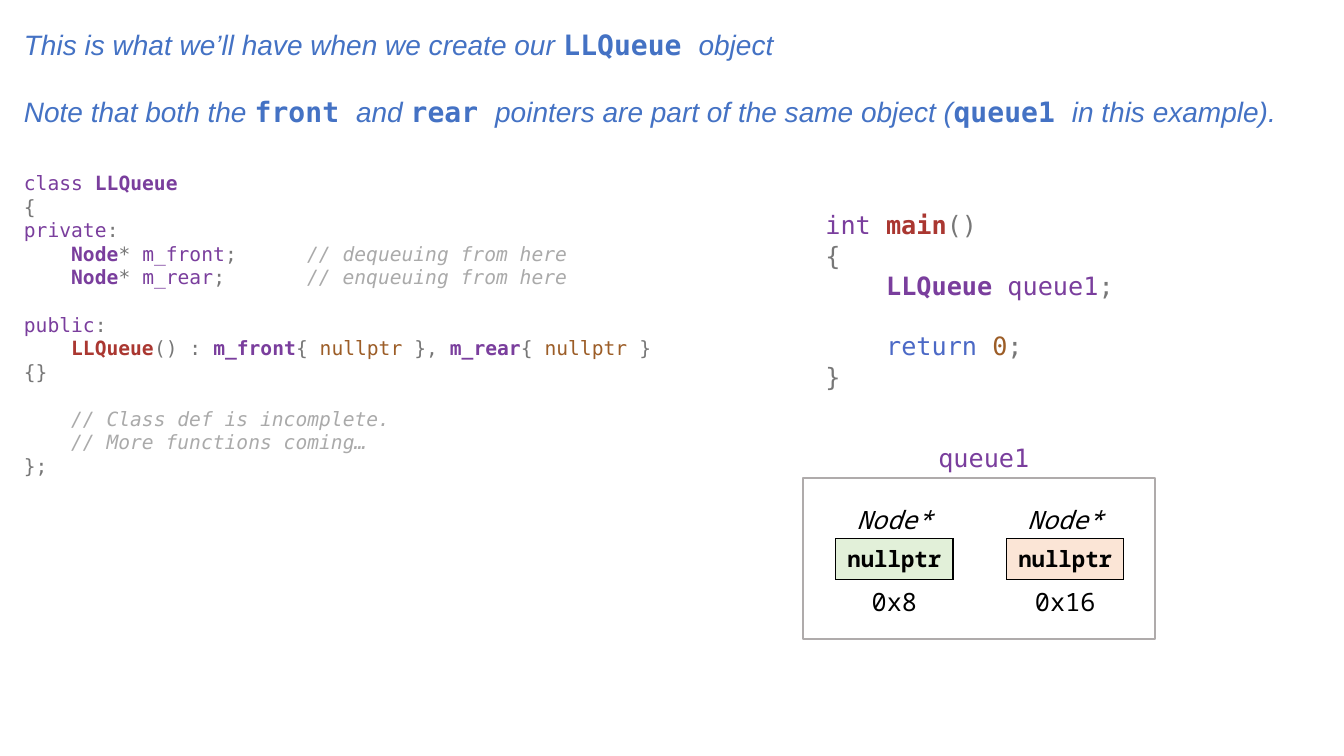
from dataclasses import dataclass
from typing import NamedTuple

from lxml.etree import SubElement
from pptx import Presentation
from pptx.dml.color import RGBColor
from pptx.enum.shapes import MSO_SHAPE as Shape
from pptx.enum.text import MSO_AUTO_SIZE as Fit, PP_ALIGN as Align
from pptx.oxml.ns import qn
from pptx.util import Pt

BLUE = RGBColor(0x44, 0x72, 0xC4)
PURPLE = RGBColor(0x7A, 0x3E, 0x9D)
RED = RGBColor(0xAA, 0x37, 0x31)
BROWN = RGBColor(0x9C, 0x5D, 0x27)
INDIGO = RGBColor(0x4B, 0x69, 0xC6)
GREY = RGBColor(0x77, 0x77, 0x77)
PALE = RGBColor(0xAA, 0xAA, 0xAA)
FRAME = RGBColor(0xAF, 0xAB, 0xAB)
BLACK = RGBColor(0, 0, 0)
GREEN = RGBColor(0xE2, 0xF0, 0xD9)
PEACH = RGBColor(0xFB, 0xE5, 0xD6)

SANS = "Arial"
MONO = "DejaVu Sans Mono"
NOTO = "Noto Sans Mono"
PITCH = 1.2
TAB = 202.3


class Run(NamedTuple):
    text: str
    color: RGBColor = GREY
    bold: bool = False
    italic: bool = False
    font: str = MONO


@dataclass
class Line:
    runs: list[Run]
    gap: bool = False


@dataclass
class Block:
    left: float
    top: float
    width: float
    height: float
    size: float
    lines: list[Line]
    align: Align = Align.LEFT


@dataclass
class Pointer:
    left: float
    address: str
    fill: RGBColor


def name(text: str) -> Run:
    return Run(text, PURPLE)


def kind(text: str) -> Run:
    return Run(text, PURPLE, bold=True)


def func(text: str) -> Run:
    return Run(text, RED, bold=True)


def value(text: str) -> Run:
    return Run(text, BROWN)


def note(text: str) -> Run:
    return Run(text, PALE, italic=True)


def say(text: str) -> Run:
    return Run(text, BLUE, italic=True, font=SANS)


def term(text: str) -> Run:
    return Run(text, BLUE, bold=True)


def field(label: str, remark: str) -> Line:
    return Line([kind("    Node"), Run("* "), name(label), Run(";"), note("\t" + remark)])


CLASS = [
    Line([name("class "), kind("LLQueue")]),
    Line([Run("{")]),
    Line([name("private"), Run(":")]),
    field("m_front", "// dequeuing from here"),
    field("m_rear", "// enqueuing from here"),
    Line([name("public"), Run(":")], gap=True),
    Line([func("    LLQueue"), Run("() : "), kind("m_front"), Run("{ "), value("nullptr "),
          Run("}, "), kind("m_rear"), Run("{ "), value("nullptr "), Run("} {}")]),
    Line([note("    // Class def is incomplete.")], gap=True),
    Line([note("    // More functions coming…")]),
    Line([Run("};")]),
]
INTRO = [
    Line([say("This is what we’ll have when we create our "), term("LLQueue "), say("object")]),
    Line([say("Note that both the "), term("front "), say("and "), term("rear "),
          say("pointers are part of the same object ("), term("queue1 "),
          say("in this example).")], gap=True),
]
MAIN = [
    Line([name("int "), func("main"), Run("()")]),
    Line([Run("{")]),
    Line([kind("    LLQueue "), name("queue1"), Run(";")]),
    Line([Run("    return ", INDIGO), value("0"), Run(";")], gap=True),
    Line([Run("}")]),
]
BLOCKS = [
    Block(10, 118.8, 481.7, 211, 14, CLASS),
    Block(10, 15.8, 940.3, 79.9, 20, INTRO),
    Block(582.5, 146.2, 231.1, 138.2, 18, MAIN),
    Block(658.8, 312.5, 87.8, 28.8, 18, [Line([name("queue1")])], Align.CENTER),
]
POINTERS = [Pointer(597, "0x8", GREEN), Pointer(719, "0x16", PEACH)]


def style(font, look: Run) -> None:
    font.name = look.font
    font.bold = look.bold
    font.italic = look.italic
    font.color.rgb = look.color


def write(slide, block: Block) -> None:
    box = slide.shapes.add_textbox(Pt(block.left), Pt(block.top), Pt(block.width), Pt(block.height))
    frame = box.text_frame
    frame.word_wrap = True
    frame.auto_size = Fit.SHAPE_TO_FIT_TEXT
    pitch = Pt(block.size * PITCH)
    for index, line in enumerate(block.lines):
        para = frame.add_paragraph() if index else frame.paragraphs[0]
        para.alignment = block.align
        para.line_spacing = pitch
        if line.gap:
            para.space_before = pitch
        if any("\t" in run.text for run in line.runs):
            tabs = SubElement(para._p.get_or_add_pPr(), qn("a:tabLst"))
            SubElement(tabs, qn("a:tab"), pos=str(Pt(TAB)), algn="l")
        para.font.size = Pt(block.size)
        if len(line.runs) == 1:
            style(para.font, line.runs[0])
        for look in line.runs:
            run = para.add_run()
            run.text = look.text
            if len(line.runs) > 1:
                style(run.font, look)


def edge(cell, sides: str) -> None:
    props = cell._tc.get_or_add_tcPr()
    for index, side in enumerate("LRTB"):
        line = SubElement(props, qn(f"a:ln{side}"), w=str(Pt(1)))
        if side in sides:
            fill = SubElement(line, qn("a:solidFill"))
            SubElement(fill, qn("a:srgbClr"), val=str(BLACK))
        else:
            SubElement(line, qn("a:noFill"))


def draw(slide, item: Pointer) -> None:
    grid = slide.shapes.add_table(3, 1, Pt(item.left), Pt(355.7), Pt(83.7), Pt(87.6)).table
    grid.first_row = grid.horz_banding = False
    rows = [("Node*", 18, False, True, "B"), ("nullptr", 16, True, False, "LRTB"),
            (item.address, 18, False, False, "T")]
    for index, (text, size, bold, italic, sides) in enumerate(rows):
        grid.rows[index].height = Pt(29.2)
        cell = grid.cell(index, 0)
        cell.margin_bottom = 0
        edge(cell, sides)
        if index == 1:
            cell.fill.solid()
            cell.fill.fore_color.rgb = item.fill
        else:
            cell.fill.background()
        para = cell.text_frame.paragraphs[0]
        para.text = text
        para.alignment = Align.CENTER
        para.font.size = Pt(size)
        style(para.font, Run(text, BLACK, bold, italic, NOTO))


def main() -> None:
    deck = Presentation()
    deck.slide_width, deck.slide_height = Pt(960), Pt(540)
    slide = deck.slides.add_slide(deck.slide_layouts[6])
    for block in BLOCKS:
        write(slide, block)
    for item in POINTERS:
        draw(slide, item)
    frame = slide.shapes.add_shape(Shape.RECTANGLE, Pt(573.8), Pt(341.3), Pt(251.3), Pt(115.2))
    frame.shadow.inherit = False
    frame.fill.background()
    frame.line.color.rgb = FRAME
    frame.line.width = Pt(1.5)
    deck.save("out.pptx")


if __name__ == "__main__":
    main()
